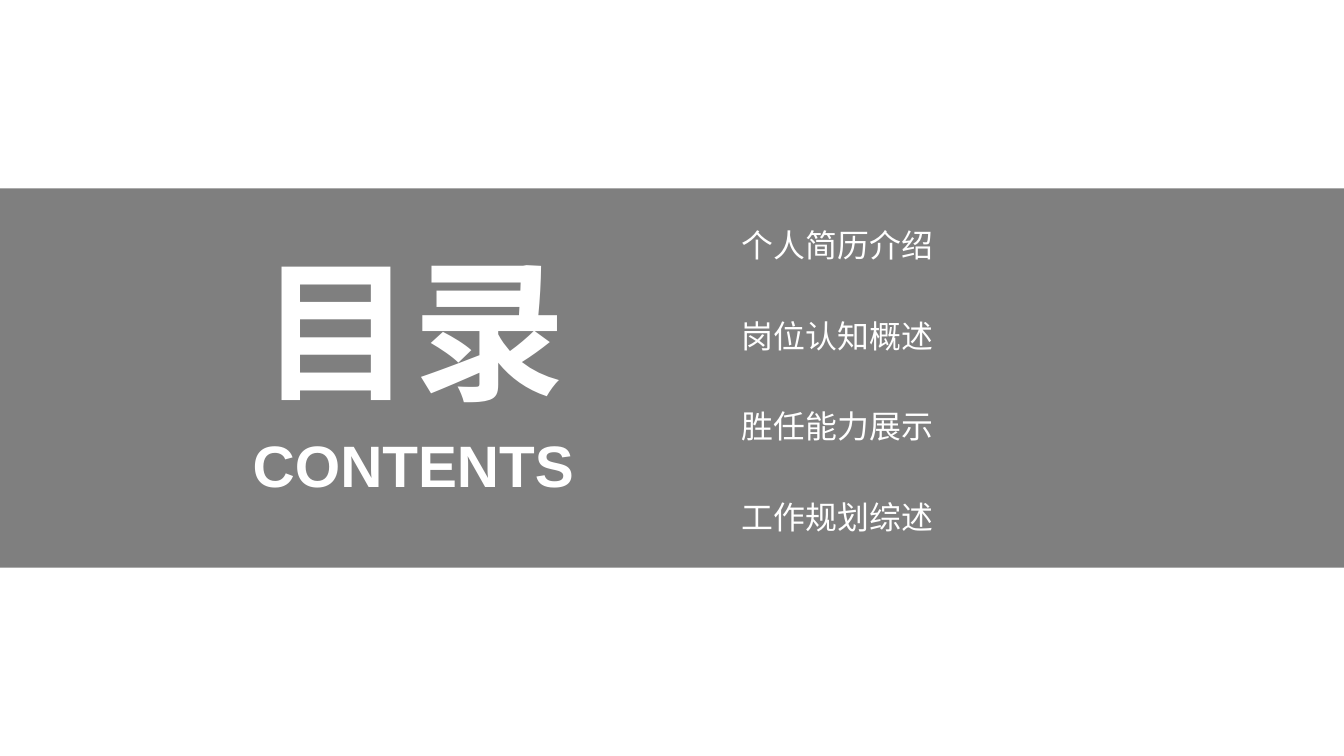
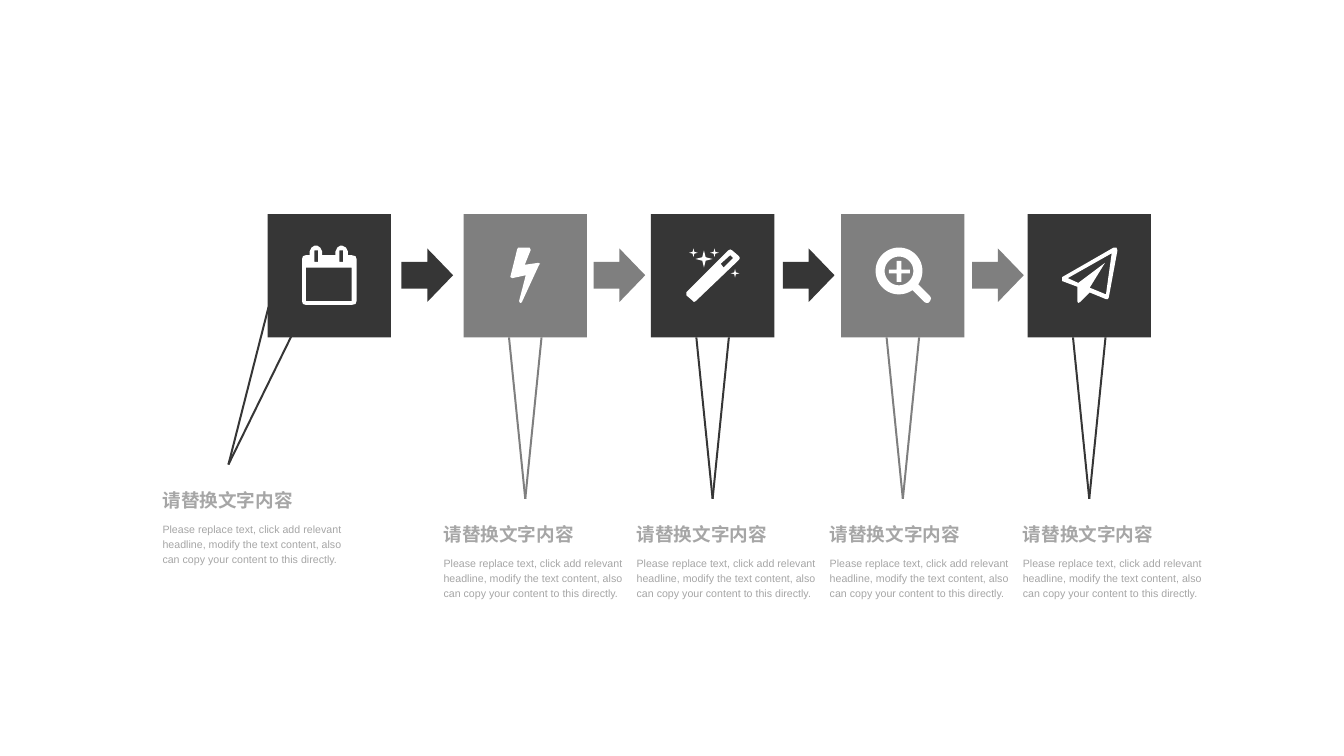
"""Build a contents slide and a five-step process slide."""
import math
from dataclasses import dataclass

import pptx
import pptx.util
import pptx.dml.color
import pptx.enum.shapes
import pptx.enum.text
import pptx.oxml.ns
from lxml import etree

Inches = pptx.util.Inches
SHAPE = pptx.enum.shapes.MSO_SHAPE
ALIGN = pptx.enum.text.PP_ALIGN
ANCHOR = pptx.enum.text.MSO_ANCHOR


@dataclass(frozen=True)
class Theme:
    """Colours, type sizes and font of the deck."""
    white: str = "FFFFFF"
    grey: str = "7F7F7F"
    dark: str = "363636"
    pale: str = "A6A6A6"
    font: str = "Arial"
    title: int = 115
    subtitle: int = 44
    agenda: int = 24
    heading: int = 14
    body: int = 8
    rule: float = 1.5


T = Theme()
WIDTH, HEIGHT = 14.06, 7.91
TITLE, SUBTITLE = "目录", "CONTENTS"
AGENDA = ["个人简历介绍", "岗位认知概述", "胜任能力展示", "工作规划综述"]
HEADING = "请替换文字内容"
BODY = ("Please replace text, click add relevant headline, modify the text "
        "content, also can copy your content to this directly.")

BAND_TOP, BAND_H = 1.97, 3.97
AGENDA_X, AGENDA_Y, AGENDA_STEP = 7.76, 2.36, 0.95
AGENDA_W, AGENDA_H = 2.7, 0.4
TILE, TILE_TOP = 1.29, 2.24
ARROW_TOP, ARROW_W, ARROW_H = 2.6, 0.54, 0.56
TIP_Y, TIP_SPREAD = 5.22, 0.17
CAPTION_X, CAPTION_Y, CAPTION_STEP = 4.64, 5.38, 2.02


def box(x1, y1, x2, y2):
    """Return the corners of a rectangle."""
    return [(x1, y1), (x2, y1), (x2, y2), (x1, y2)]


def arc(cx, cy, radius, start=0, end=360, steps=48):
    """Return points along a circular arc given in degrees."""
    angles = [math.radians(start + (end - start) * i / steps) for i in range(steps + 1)]
    return [(cx + radius * math.cos(a), cy + radius * math.sin(a)) for a in angles]


def sparkle(cx, cy, radius):
    """Return a four-pointed star."""
    reach = [radius, radius * 0.28]
    return [(cx + reach[i % 2] * math.cos(i * math.pi / 4),
             cy + reach[i % 2] * math.sin(i * math.pi / 4)) for i in range(8)]


CALENDAR = [
    [(93, 91), (92, 94), (88, 95), (40, 95), (37, 94), (36, 91), (36, 47), (37, 44),
     (40, 43), (44, 43), (44, 39), (46, 35), (49, 33), (52, 33), (55, 35), (57, 39),
     (57, 43), (71, 43), (71, 39), (73, 35), (76, 33), (78, 33), (82, 35), (84, 39),
     (84, 43), (88, 43), (92, 44), (93, 47)],
    box(40, 56, 88, 91), box(49, 38, 53, 50), box(75, 38, 79, 50)]
BOLT = [
    [(79, 53), (61, 92), (60, 93), (59, 93), (58, 91), (65, 64), (51, 67), (49, 66),
     (49, 65), (56, 37), (57, 35), (69, 35), (70, 37), (70, 38), (64, 53), (78, 51),
     (80, 52)]]
WAND = [
    [(92, 48), (47, 91), (45, 92), (44, 91), (37, 85), (37, 82), (81, 38), (83, 37),
     (85, 38), (92, 44), (93, 46)],
    [(86, 46), (83, 43), (73, 52), (76, 56)],
    sparkle(44.5, 40.5, 4.5), sparkle(55.5, 47, 9),
    sparkle(66.5, 40.5, 4.5), sparkle(88, 62, 4.5)]
MAGNIFIER = [
    arc(60.5, 59.5, 24.5, 55, 395)
    + [(93, 86), (94, 88), (93, 91), (91, 93), (89, 93), (87, 92)],
    arc(60.5, 59.5, 15),
    [(72, 58), (72, 62), (63, 62), (63, 71), (58, 71), (58, 62), (50, 62), (50, 58),
     (58, 58), (58, 49), (63, 49), (63, 58)]]
PLANE = [
    [(94, 38), (85, 87), (84, 89), (82, 89), (65, 82), (55, 92), (53, 93), (52, 91),
     (52, 76), (36, 70), (36, 66), (90, 35), (93, 35)],
    [(88, 41), (42, 67), (53, 72), (81, 51), (65, 77), (82, 84)]]

STEPS = [(2.8, CALENDAR, 4.2), (4.85, BOLT, 6.21), (6.81, WAND, 8.19),
         (8.8, MAGNIFIER, 10.17), (10.75, PLANE, None)]


def rgb(colour):
    """Return a colour object for a hex string."""
    return pptx.dml.color.RGBColor.from_string(colour)


def paint(sp, colour=None):
    """Give a shape a flat fill, or none, without line or shadow."""
    sp.shadow.inherit = False
    sp.line.fill.background()
    if colour:
        sp.fill.solid()
        sp.fill.fore_color.rgb = rgb(colour)
    else:
        sp.fill.background()


def add_block(s, kind, x, y, w, h, colour):
    """Add a flat preset shape."""
    sp = s.shapes.add_shape(kind, Inches(x), Inches(y), Inches(w), Inches(h))
    paint(sp, colour)


def add_outline(s, contours, x, y, colour=None):
    """Add a freeform given in hundredths of an inch from its origin."""
    scaled = [[(px * 10, py * 10) for px, py in contour] for contour in contours]
    builder = s.shapes.build_freeform(*scaled[0][0], scale=Inches(1) / 1000)
    for i, contour in enumerate(scaled):
        if i:
            builder.move_to(*contour[0])
        builder.add_line_segments(contour[1:], close=True)
    sp = builder.convert_to_shape(Inches(x), Inches(y))
    paint(sp, colour)
    return sp


def write(sp, text, size, colour, bold=False, align=ALIGN.LEFT,
          anchor=ANCHOR.TOP, spacing=None, pad=0, grow=True):
    """Set the single paragraph of a shape."""
    tf = sp.text_frame
    tf.word_wrap = True
    tf.margin_left = tf.margin_right = 0
    tf.margin_top = tf.margin_bottom = Inches(pad)
    tf.vertical_anchor = anchor
    kinds = pptx.enum.text.MSO_AUTO_SIZE
    tf.auto_size = kinds.SHAPE_TO_FIT_TEXT if grow else kinds.NONE
    p = tf.paragraphs[0]
    p.alignment = align
    if spacing:
        p.line_spacing = spacing
    r = p.add_run()
    r.text = text
    r.font.name, r.font.size, r.font.bold = T.font, pptx.util.Pt(size), bold
    r.font.color.rgb = rgb(colour)


def add_text(s, text, x, y, w, h, size, colour, **style):
    """Add a one-paragraph text box."""
    sp = s.shapes.add_textbox(Inches(x), Inches(y), Inches(w), Inches(h))
    write(sp, text, size, colour, **style)


def add_line(s, start, end, colour):
    """Add a straight line without shadow."""
    ends = [Inches(v) for v in (*start, *end)]
    line = s.shapes.add_connector(pptx.enum.shapes.MSO_CONNECTOR.STRAIGHT, *ends)
    line.line.color.rgb = rgb(colour)
    line.line.width = pptx.util.Pt(T.rule)
    etree.SubElement(line._element.spPr, pptx.oxml.ns.qn("a:effectLst"))


def add_caption(s, x, y):
    """Add a heading with its description."""
    add_text(s, HEADING, x, y, 1.46, 0.37, T.heading, T.pale, bold=True,
             anchor=ANCHOR.MIDDLE, spacing=1.2, pad=0.11, grow=False)
    add_text(s, BODY, x, y + 0.42, 1.92, 0.47, T.body, T.pale, spacing=1.2)


def contents_slide(s):
    """Draw the contents band."""
    add_block(s, SHAPE.RECTANGLE, 0, BAND_TOP, WIDTH, BAND_H, T.grey)
    add_text(s, TITLE, 2.64, 2.46, 3.37, 1.94, T.title, T.white, bold=True,
             align=ALIGN.CENTER, anchor=ANCHOR.MIDDLE)
    add_text(s, SUBTITLE, 2.52, 4.49, 3.61, 0.74, T.subtitle, T.white, bold=True,
             align=ALIGN.CENTER)
    frame = [box(0, 0, AGENDA_W * 100, AGENDA_H * 100)]
    for i, item in enumerate(AGENDA):
        sp = add_outline(s, frame, AGENDA_X, AGENDA_Y + i * AGENDA_STEP)
        write(sp, item, T.agenda, T.white, anchor=ANCHOR.MIDDLE)


def process_slide(s):
    """Draw the tiles, pointers, arrows and captions."""
    bottom = TILE_TOP + TILE
    for i, (x, icon, arrow_x) in enumerate(STEPS):
        colour = T.grey if i % 2 else T.dark
        middle = x + TILE / 2
        if i:
            tip = (middle, TIP_Y)
            feet = [(middle - TIP_SPREAD, bottom), (middle + TIP_SPREAD, bottom)]
            caption = (CAPTION_X + (i - 1) * CAPTION_STEP, CAPTION_Y)
        else:
            tip, feet, caption = (2.39, 4.86), [(2.81, 3.21), (3.14, 3.33)], (1.7, 5.02)
        for foot in feet:
            add_line(s, tip, foot, colour)
        add_block(s, SHAPE.RECTANGLE, x, TILE_TOP, TILE, TILE, colour)
        add_outline(s, icon, x, TILE_TOP, T.white)
        if arrow_x:
            add_block(s, SHAPE.RIGHT_ARROW, arrow_x, ARROW_TOP, ARROW_W, ARROW_H, colour)
        add_caption(s, *caption)


def main():
    """Build and save the deck."""
    prs = pptx.Presentation()
    prs.slide_width, prs.slide_height = Inches(WIDTH), Inches(HEIGHT)
    for draw in (contents_slide, process_slide):
        draw(prs.slides.add_slide(prs.slide_layouts[6]))
    prs.save("out.pptx")


if __name__ == "__main__":
    main()
